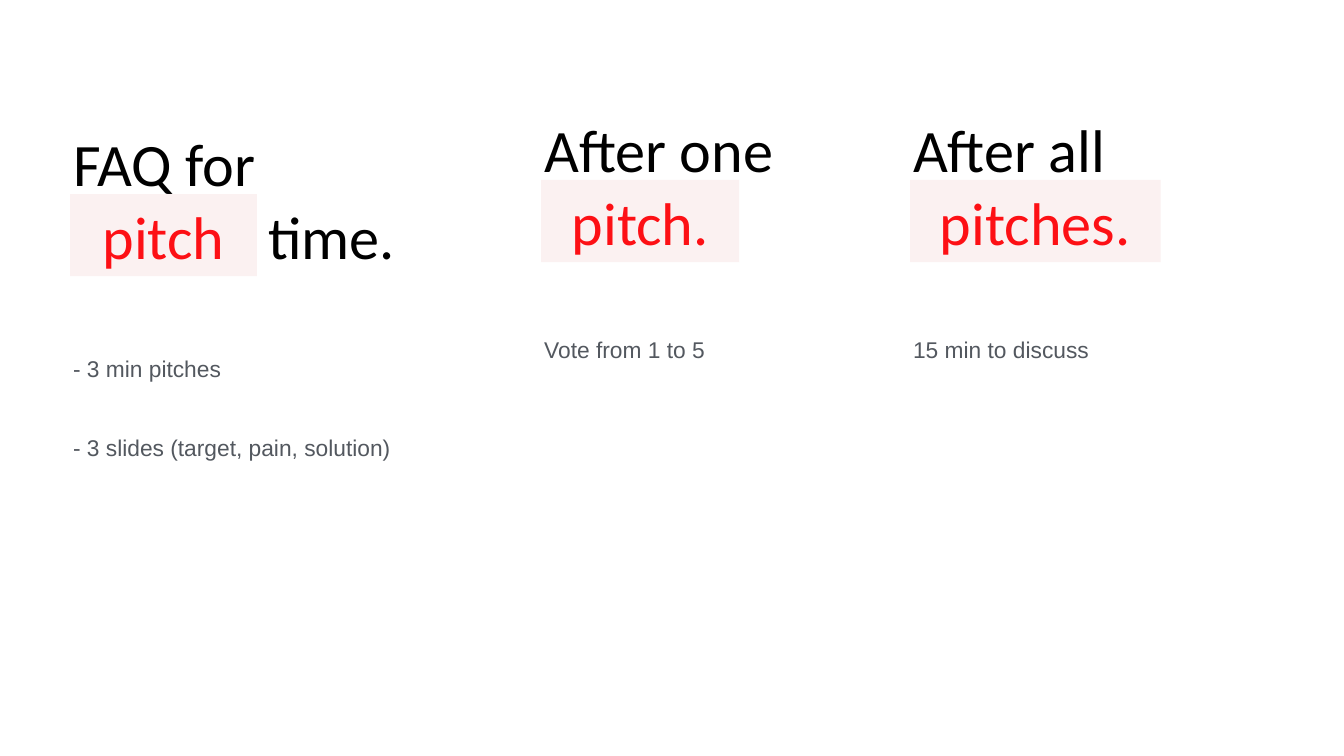
from dataclasses import dataclass

from pptx import Presentation
from pptx.dml.color import RGBColor
from pptx.enum.shapes import MSO_SHAPE
from pptx.enum.text import MSO_ANCHOR, MSO_AUTO_SIZE, PP_ALIGN
from pptx.util import Inches, Pt

RECTANGLE = MSO_SHAPE.RECTANGLE
TOP, MIDDLE = MSO_ANCHOR.TOP, MSO_ANCHOR.MIDDLE
LEFT, CENTER = PP_ALIGN.LEFT, PP_ALIGN.CENTER
FIT_SHAPE = MSO_AUTO_SIZE.SHAPE_TO_FIT_TEXT


@dataclass(frozen=True)
class Style:
    font: str
    size: int
    color: str
    baseline: int = 0
    line_spacing: float = 1.0


@dataclass(frozen=True)
class Theme:
    highlight_fill: str = "FBF1F1"
    heading: Style = Style("Calibri", 86, "000000")
    highlight: Style = Style("Calibri", 86, "FD1015")
    detail: Style = Style("Arial", 56, "53585F", 36000, 0.9)


THEME = Theme()

COLUMNS = [
    {"left": 1.39, "top": 2.41, "heading": ("FAQ for", 4.43),
     "highlight": ("pitch", 3.71), "ending": ("time.", 3.05),
     "detail_top": 7.04, "detail_width": 8.77,
     "details": [("- 3 min pitches", 1.32),
                 ("- 3 slides (target, pain, solution)", 2.41)]},
    {"left": 10.74, "top": 2.13, "heading": ("After one", 5.43),
     "highlight": ("pitch.", 3.93),
     "detail_top": 6.66, "detail_width": 10.04,
     "details": [("Vote from 1 to 5", 1.32)]},
    {"left": 18.06, "top": 2.13, "heading": ("After all", 4.69),
     "highlight": ("pitches.", 4.97),
     "detail_top": 6.66, "detail_width": 8.6,
     "details": [("15 min to discuss", 1.32)]},
]

SLIDE_WIDTH, SLIDE_HEIGHT = 26.67, 15
LINE_HEIGHT = 1.63
LINE_STEP = 1.44
DETAIL_STEP = 1.56
ENDING_GAP = 0.16
INSET = 0.06


def write(shape, text, style, anchor=MIDDLE, align=LEFT, wrap=True):
    frame = shape.text_frame
    frame.text = text
    frame.word_wrap = wrap
    frame.auto_size = FIT_SHAPE
    frame.vertical_anchor = anchor
    frame.margin_left = frame.margin_right = Inches(INSET)
    frame.margin_top = frame.margin_bottom = Inches(INSET)
    paragraph = frame.paragraphs[0]
    paragraph.alignment = align
    paragraph.line_spacing = style.line_spacing
    font = paragraph.runs[0].font
    font.name = style.font
    font.size = Pt(style.size)
    font.color.rgb = RGBColor.from_string(style.color)
    if style.baseline:
        paragraph.runs[0]._r.get_or_add_rPr().set("baseline", str(style.baseline))


def add_text(slide, box, text, style, **layout):
    write(slide.shapes.add_textbox(*map(Inches, box)), text, style, **layout)


def add_highlight(slide, box, text):
    block = slide.shapes.add_shape(RECTANGLE, *map(Inches, box))
    block.shadow.inherit = False
    block.fill.solid()
    block.fill.fore_color.rgb = RGBColor.from_string(THEME.highlight_fill)
    block.line.fill.background()
    write(block, text, THEME.highlight, align=CENTER)


def add_column(slide, column):
    left, top = column["left"], column["top"]
    second_line = top + LINE_STEP
    word, word_width = column["highlight"]
    add_highlight(slide, (left, second_line, word_width, LINE_HEIGHT), word)

    heading, width = column["heading"]
    add_text(slide, (left, top, width, LINE_HEIGHT), heading,
             THEME.heading, wrap=False)
    if "ending" in column:
        ending, width = column["ending"]
        ending_left = left + word_width + ENDING_GAP
        add_text(slide, (ending_left, second_line, width, LINE_HEIGHT), ending,
                 THEME.heading, wrap=False)

    for row, (detail, height) in enumerate(column["details"]):
        detail_top = column["detail_top"] + row * DETAIL_STEP
        add_text(slide, (left, detail_top, column["detail_width"], height),
                 detail, THEME.detail, anchor=TOP)


def main():
    deck = Presentation()
    deck.slide_width = Inches(SLIDE_WIDTH)
    deck.slide_height = Inches(SLIDE_HEIGHT)
    slide = deck.slides.add_slide(deck.slide_layouts[6])
    for column in COLUMNS:
        add_column(slide, column)
    deck.save("out.pptx")


if __name__ == "__main__":
    main()
